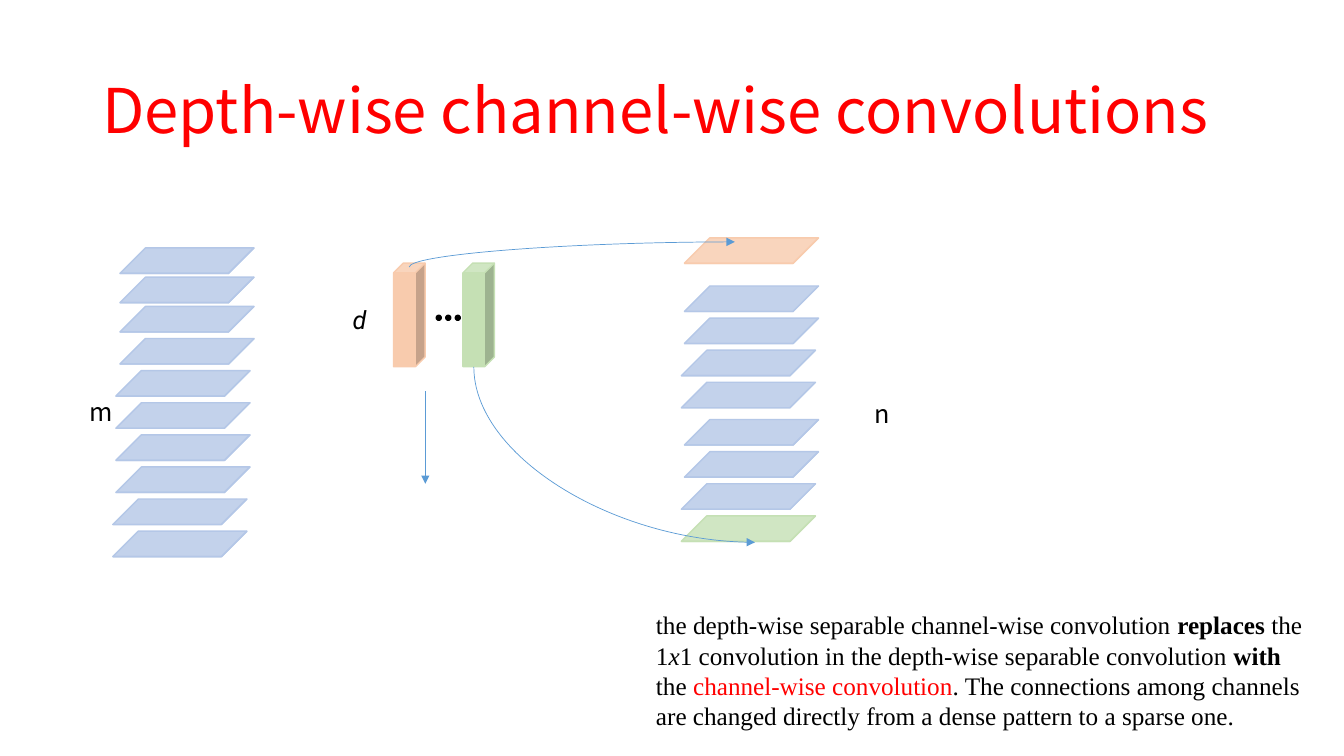
"""Build the slide on depth-wise channel-wise convolutions."""
import pptx
import pptx.dml.color
import pptx.enum.shapes
import pptx.enum.text
import pptx.oxml.ns
import pptx.oxml.xmlchemy
import pptx.util

Pt = pptx.util.Pt
RGBColor = pptx.dml.color.RGBColor
MSO_SHAPE = pptx.enum.shapes.MSO_SHAPE
MSO_CONNECTOR = pptx.enum.shapes.MSO_CONNECTOR
OxmlElement = pptx.oxml.xmlchemy.OxmlElement
qn = pptx.oxml.ns.qn

RED = RGBColor(0xFF, 0x00, 0x00)
BLACK = RGBColor(0x00, 0x00, 0x00)
BLUE = RGBColor(0xB4, 0xC7, 0xE7)
PEACH = RGBColor(0xF8, 0xCB, 0xAD)
GREEN = RGBColor(0xC5, 0xE0, 0xB4)
ARROW_BLUE = RGBColor(0x5B, 0x9B, 0xD5)
SANS = "Noto Sans CJK SC"
PITCH = 22.93

deck = pptx.Presentation()
deck.slide_width, deck.slide_height = Pt(960), Pt(540)
slide = deck.slides.add_slide(deck.slide_layouts[6])


def add_solid(kind, left, top, width, height, color, depth=None):
    solid = slide.shapes.add_shape(kind, Pt(left), Pt(top), Pt(width), Pt(height))
    solid.shadow.inherit = False
    solid.fill.solid()
    solid.fill.fore_color.rgb = color
    solid.line.color.rgb = color
    solid.line.width = Pt(1)
    if depth is not None:
        solid.adjustments[0] = depth


def add_arrow(kind, x1, y1, x2, y2):
    arrow = slide.shapes.add_connector(kind, Pt(x1), Pt(y1), Pt(x2), Pt(y2))
    arrow.line.color.rgb = ARROW_BLUE
    arrow.line.width = Pt(0.5)
    properties = arrow._element.spPr
    head = OxmlElement("a:tailEnd")
    head.set("type", "triangle")
    properties.find(qn("a:ln")).append(head)
    properties.append(OxmlElement("a:effectLst"))
    return arrow


title = slide.shapes.add_textbox(Pt(66), Pt(28.8), Pt(828), Pt(104.4)).text_frame
title.word_wrap = True
title.vertical_anchor = pptx.enum.text.MSO_ANCHOR.MIDDLE
title.text = "Depth-wise channel-wise convolutions"
title.paragraphs[0].line_spacing = 0.9
title_font = title.paragraphs[0].runs[0].font
title_font.size, title_font.name, title_font.color.rgb = Pt(44), SANS, RED

input_tops = [177.1, 198] + [218.9 + PITCH * row for row in range(8)]
input_lefts = [85.7] * 4 + [82.8] * 4 + [80.6] * 2
output_tops = [169.9] + [start + PITCH * row for start in (204.3, 299.7) for row in range(4)]
output_lefts = [488.9] * 3 + [486.7] * 2 + [488.9] * 2 + [486.7] * 2
plate_lefts = input_lefts + output_lefts
plate_tops = input_tops + output_tops
plate_colors = [BLUE] * 10 + [PEACH] + [BLUE] * 7 + [GREEN]
for left, top, color in zip(plate_lefts, plate_tops, plate_colors):
    add_solid(MSO_SHAPE.CUBE, left, round(top, 2), 95.8, 18.2, color, 1)

for left, color in ((281.2, PEACH), (330.7, GREEN)):
    add_solid(MSO_SHAPE.CUBE, left, 187.9, 22.5, 74, color, 0.31)
for dot in range(3):
    add_solid(MSO_SHAPE.OVAL, 311.6 + 6.8 * dot, 225.2, 3.6, 3.6, BLACK)

curves = (
    (292.3, 190.8, 524.9, 172.8, {"rot": "5400000", "flipH": "1", "flipV": "1"}),
    (338.5, 262.1, 539.3, 387.4, {"rot": "16200000", "flipH": "1"}),
)
for x1, y1, x2, y2, turn in curves:
    curve = add_arrow(MSO_CONNECTOR.CURVE, x1, y1, x2, y2)
    across, along = abs(y2 - y1), x2 - x1
    curve.left, curve.top = Pt((x1 + x2 - across) / 2), Pt((y1 + y2 - along) / 2)
    curve.width, curve.height = Pt(across), Pt(along)
    frame = curve._element.spPr.find(qn("a:xfrm"))
    for key, value in turn.items():
        frame.set(key, value)
    curve._element.spPr.find(qn("a:prstGeom")).set("prst", "curvedConnector2")
add_arrow(MSO_CONNECTOR.STRAIGHT, 303.8, 279.4, 303.8, 345.6)

for symbol, left, top, width, font_name, slanted in (
    ("m", 56.9, 279.4, 28.8, SANS, False),
    ("n", 617.8, 280.8, 24.5, SANS, False),
    ("d", 244.8, 213.8, 23.8, "Roboto", True),
):
    label = slide.shapes.add_textbox(Pt(left), Pt(top), Pt(width), Pt(29)).text_frame
    label.word_wrap = False
    label.auto_size = pptx.enum.text.MSO_AUTO_SIZE.SHAPE_TO_FIT_TEXT
    label.text = symbol
    font = label.paragraphs[0].runs[0].font
    font.size, font.name, font.italic, font.color.rgb = Pt(18), font_name, slanted, BLACK

summary = slide.shapes.add_textbox(Pt(461.5), Pt(432), Pt(480.2), Pt(116.6)).text_frame
summary.word_wrap = True
for words, bold, italic, color in (
    ("the depth-wise separable channel-wise convolution ", False, False, BLACK),
    ("replaces", True, False, BLACK),
    (" the 1", False, False, BLACK),
    ("x", False, True, BLACK),
    ("1 convolution in the depth-wise separable convolution ", False, False, BLACK),
    ("with", True, False, BLACK),
    (" the ", False, False, BLACK),
    ("channel-wise convolution", False, False, RED),
    (". The connections among channels are changed directly from a dense pattern "
     "to a sparse one.", False, False, BLACK),
):
    run = summary.paragraphs[0].add_run()
    run.text = words
    run.font.size, run.font.name = Pt(18), "Times New Roman"
    run.font.bold, run.font.italic, run.font.color.rgb = bold, italic, color

deck.save("out.pptx")
